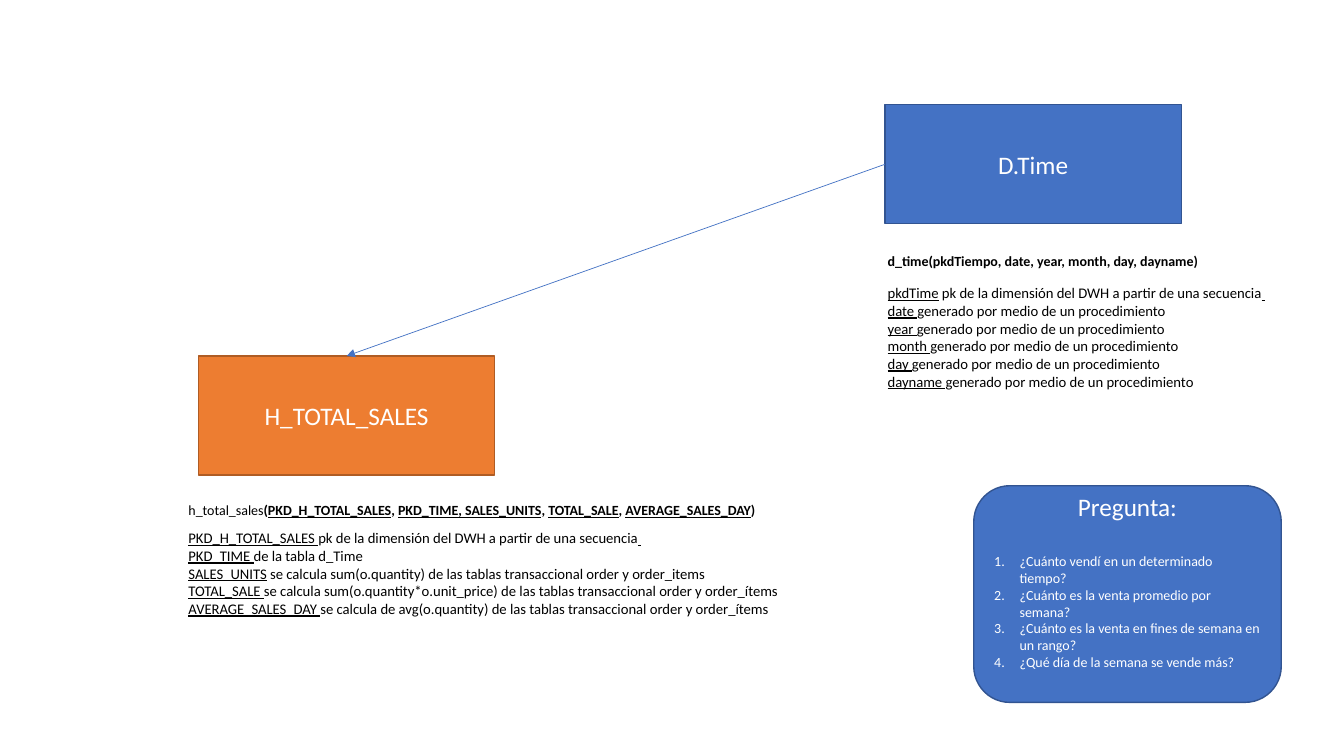
import pptx
import pptx.util
import pptx.dml.color
import pptx.enum.shapes
import pptx.enum.text
import lxml.etree

Cm, Pt = pptx.util.Cm, pptx.util.Pt
SHAPES = pptx.enum.shapes.MSO_SHAPE
ALIGN = pptx.enum.text.PP_ALIGN
ANCHOR = pptx.enum.text.MSO_ANCHOR
COLORS = {"blue": "4472C4", "blue_edge": "325491", "orange": "ED7D31",
          "orange_edge": "AF5C24", "white": "FFFFFF", "black": "000000"}


def color(name):
    return pptx.dml.color.RGBColor.from_string(COLORS[name])


def add_run(paragraph, text, size, color_name, style=""):
    run = paragraph.add_run()
    run.text = text
    run.font.name = "Calibri"
    run.font.size = Pt(size)
    run.font.color.rgb = color(color_name)
    if "b" in style:
        run.font.bold = True
    if "u" in style:
        run.font.underline = True


presentation = pptx.Presentation()
presentation.slide_width = Cm(33.87)
presentation.slide_height = Cm(19.05)
slide = presentation.slides.add_slide(presentation.slide_layouts[6])

boxes = {}
for title, kind, left, top, width, height, fill in [
    ("H_TOTAL_SALES", SHAPES.RECTANGLE, 5, 8.97, 7.47, 3, "orange"),
    ("D.Time", SHAPES.RECTANGLE, 22.3, 2.64, 7.47, 3, "blue"),
    ("Pregunta:", SHAPES.ROUNDED_RECTANGLE, 24.54, 12.24, 7.75, 5.46, "blue"),
]:
    shape = slide.shapes.add_shape(kind, Cm(left), Cm(top), Cm(width), Cm(height))
    shape.shadow.inherit = False
    shape.fill.solid()
    shape.fill.fore_color.rgb = color(fill)
    shape.line.color.rgb = color(fill + "_edge")
    shape.line.width = Pt(1)
    shape.text_frame.word_wrap = True
    shape.text_frame.vertical_anchor = ANCHOR.MIDDLE
    paragraph = shape.text_frame.paragraphs[0]
    paragraph.alignment = ALIGN.CENTER
    add_run(paragraph, title, 18, "white")
    boxes[title] = shape

question_frame = boxes["Pregunta:"].text_frame
question_frame.margin_top = 0
question_frame.margin_bottom = Cm(0.66)
question_frame.paragraphs[0].space_after = Pt(22)
for question in [
    "¿Cuánto vendí en un determinado tiempo?",
    "¿Cuánto es la venta promedio por semana?",
    "¿Cuánto es la venta en fines de semana en un rango?",
    "¿Qué día de la semana se vende más?",
]:
    paragraph = question_frame.add_paragraph()
    paragraph.alignment = ALIGN.LEFT
    add_run(paragraph, question, 10, "white")
    properties = paragraph._p.get_or_add_pPr()
    properties.set("marL", str(Cm(0.64)))
    properties.set("indent", str(-Cm(0.64)))
    numbering = lxml.etree.SubElement(properties, pptx.oxml.ns.qn("a:buAutoNum"))
    numbering.set("type", "arabicPeriod")

connector = slide.shapes.add_connector(
    pptx.enum.shapes.MSO_CONNECTOR.STRAIGHT, 0, 0, 0, 0)
connector.begin_connect(boxes["D.Time"], 1)
connector.end_connect(boxes["H_TOTAL_SALES"], 0)
connector.line.color.rgb = color("blue")
connector.line.width = Pt(0.5)
arrowhead = lxml.etree.SubElement(connector.line._get_or_add_ln(), pptx.oxml.ns.qn("a:tailEnd"))
arrowhead.set("type", "triangle")
lxml.etree.SubElement(connector._element.spPr, pptx.oxml.ns.qn("a:effectLst"))

key_source = " pk de la dimensión del DWH a partir de una secuencia"
generated = "generado por medio de un procedimiento"
sales_header = [
    ("h_total_sales", ""), ("(", "b"), ("PKD_H_TOTAL_SALES", "bu"), (", ", "b"),
    ("PKD_TIME, SALES_UNITS", "bu"), (", ", "b"), ("TOTAL_SALE", "bu"), (", ", "b"),
    ("AVERAGE_SALES_DAY", "bu"), (")", "b"),
]
sales_fields = [
    [("PKD_H_TOTAL_SALES ", "u"), (key_source.lstrip(), ""), (" ", "u")],
    [("PKD_TIME ", "u"), ("de la tabla d_Time", "")],
    [("SALES_UNITS", "u"),
     (" se calcula sum(o.quantity) de las tablas transaccional order y order_items", "")],
    [("TOTAL_SALE ", "u"),
     ("se calcula sum(o.quantity*o.unit_price) de las tablas transaccional order y order_ítems", "")],
    [("AVERAGE_SALES_DAY ", "u"),
     ("se calcula de avg(o.quantity) de las tablas transaccional order y order_ítems", "")],
]
time_header = [("d_time(pkdTiempo, date, year, month, day, dayname)", "b")]
time_fields = [[("pkdTime", "u"), (key_source, ""), (" ", "u")]]
for field in ["date", "year", "month", "day", "dayname"]:
    time_fields.append([(field + " ", "u"), (generated, "")])

for left, top, width, height, size, lines in [
    (4.5, 12.52, 17.25, 0.69, 10, [sales_header]),
    (4.5, 13.21, 18.03, 2.49, 10.5, sales_fields),
    (22.12, 6.25, 9.78, 0.69, 10, [time_header]),
    (22.12, 7.04, 10.64, 2.95, 10.5, time_fields),
]:
    text_box = slide.shapes.add_textbox(Cm(left), Cm(top), Cm(width), Cm(height))
    frame = text_box.text_frame
    frame.word_wrap = True
    frame.auto_size = pptx.enum.text.MSO_AUTO_SIZE.SHAPE_TO_FIT_TEXT
    for index, line in enumerate(lines):
        paragraph = frame.add_paragraph() if index else frame.paragraphs[0]
        for text, style in line:
            add_run(paragraph, text, size, "black", style)

presentation.save("out.pptx")
